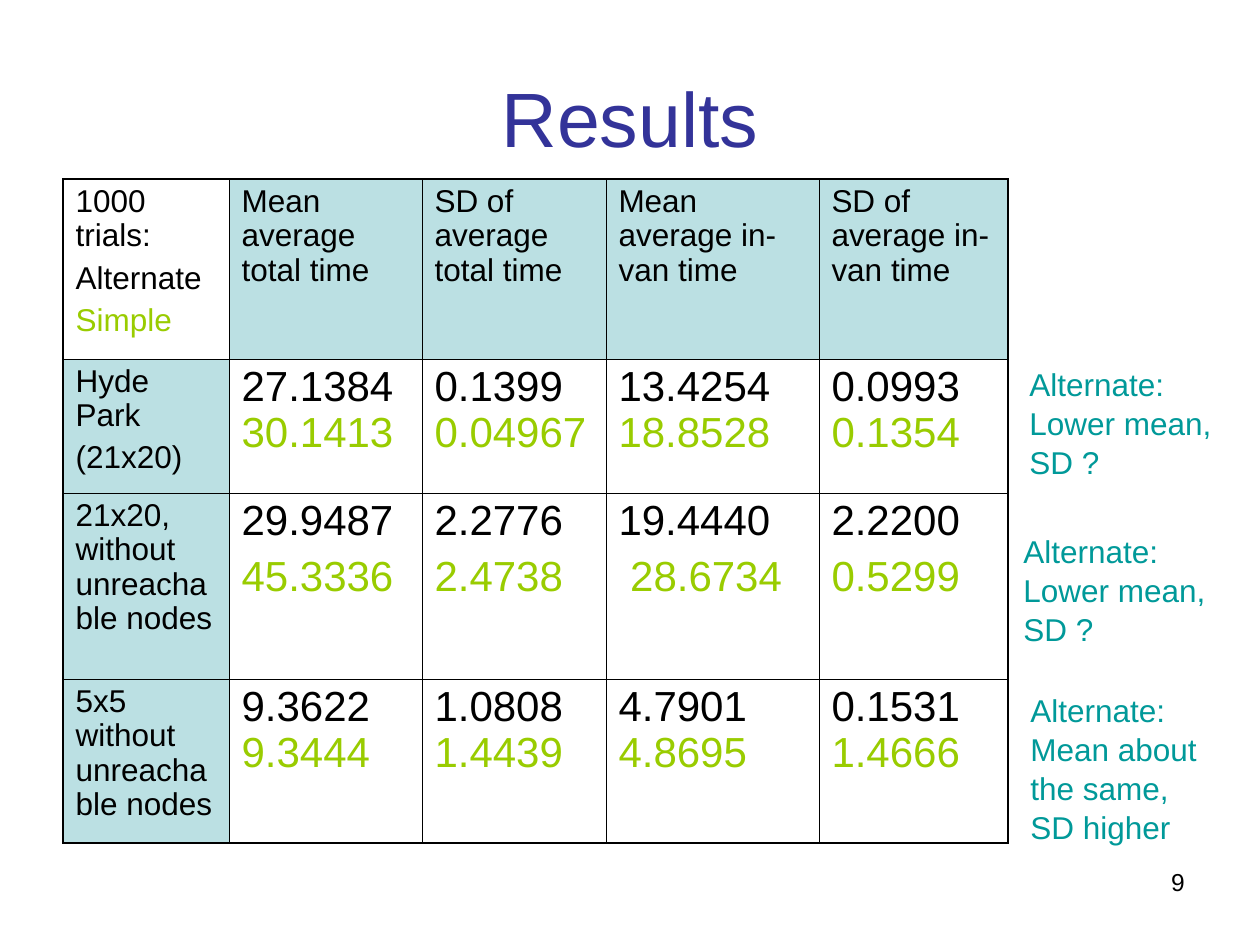
from lxml import etree
from pptx import Presentation
from pptx.dml.color import RGBColor
from pptx.enum import text
from pptx.oxml import ns
from pptx import util as u

THEME = {
    "font": "Arial", "black": "000000", "white": "FFFFFF", "title": "333399",
    "head": "BBE0E3", "simple": "99CC00", "note": "009999",
    "title_size": 44, "value_size": 24, "label_size": 18, "number_size": 14,
    "thin": 0.45, "thick": 1.08,
}


def px(n):
    return u.Emu(round(n * 914400 / 126))


def write(tf, paragraphs, size, before=0, spacing=None, align=text.PP_ALIGN.LEFT):
    for i, runs in enumerate(paragraphs):
        p = tf.paragraphs[0] if i == 0 else tf.add_paragraph()
        p.alignment = align
        p.space_before = u.Pt(before)
        p.line_spacing = spacing
        for words, color in runs:
            r = p.add_run()
            r.text = words
            r.font.name = THEME["font"]
            r.font.size = u.Pt(THEME[size])
            r.font.color.rgb = RGBColor.from_string(THEME[color])


prs = Presentation()
prs.slide_width, prs.slide_height = px(1260), px(945)
s = prs.slides.add_slide(prs.slide_layouts[5])

title = s.shapes.title
title.left, title.top, title.width, title.height = px(63), px(38), px(1134), px(157)
title.text_frame.vertical_anchor = text.MSO_ANCHOR.MIDDLE
write(title.text_frame, [[("Results", "title")]], "title_size", align=text.PP_ALIGN.CENTER)

headings = ["Mean average total time", "SD of average total time",
            "Mean average in-van time", "SD of average in-van time"]
results = [
    (["Hyde Park", "(21x20)"],
     [("27.1384 ", "30.1413"), ("0.1399 ", "0.04967"),
      ("13.4254 ", "18.8528"), ("0.0993 ", "0.1354")]),
    (["21x20, without unreachable nodes"],
     [("29.9487", "45.3336"), ("2.2776", "2.4738"),
      ("19.4440", " 28.6734"), ("2.2200", "0.5299")]),
    (["5x5 without unreachable nodes"],
     [("9.3622 ", "9.3444"), ("1.0808 ", "1.4439"),
      ("4.7901 ", "4.8695"), ("0.1531 ", "1.4666")]),
]
col_widths = [166, 193, 184, 213, 189]
row_heights = [180, 134, 186, 164]

table = s.shapes.add_table(len(row_heights), len(col_widths), px(63), px(179),
                           px(sum(col_widths)), px(sum(row_heights))).table
table.first_row = table.horz_banding = False
for col, width in zip(table.columns, col_widths):
    col.width = px(width)
for row, height in zip(table.rows, row_heights):
    row.height = px(height)

legend = [[("1000 trials:", "black")], [("Alternate", "black")], [("Simple", "simple")]]
write(table.cell(0, 0).text_frame, legend, "label_size", 4.5, 0.97)
for c, heading in enumerate(headings, 1):
    write(table.cell(0, c).text_frame, [[(heading, "black")]], "label_size", 4.5, 0.97)
for r, (labels, values) in enumerate(results, 1):
    write(table.cell(r, 0).text_frame, [[(label, "black")] for label in labels],
          "label_size", 4.5, 0.97)
    for c, (alternate, simple) in enumerate(values, 1):
        runs = [(alternate, "black"), (simple, "simple")]
        paragraphs = [[run] for run in runs] if r == 2 else [runs]
        write(table.cell(r, c).text_frame, paragraphs, "value_size", 6, 0.97)

last_row, last_col = len(row_heights) - 1, len(col_widths) - 1
for r in range(last_row + 1):
    for c in range(last_col + 1):
        cell = table.cell(r, c)
        cell.margin_left = cell.margin_right = u.Inches(0.1)
        cell.margin_top = cell.margin_bottom = u.Inches(0.05)
        is_head = (r == 0) != (c == 0)
        cell.fill.solid()
        cell.fill.fore_color.rgb = RGBColor.from_string(THEME["head" if is_head else "white"])
        outer = {"lnL": c == 0, "lnR": c == last_col, "lnT": r == 0, "lnB": r == last_row}
        tc_pr = cell._tc.get_or_add_tcPr()
        for i, (side, is_outer) in enumerate(outer.items()):
            ln = etree.Element(ns.qn(f"a:{side}"))
            ln.set("w", str(u.Pt(THEME["thick" if is_outer else "thin"])))
            fill = etree.SubElement(ln, ns.qn("a:solidFill"))
            etree.SubElement(fill, ns.qn("a:srgbClr")).set("val", THEME["black"])
            tc_pr.insert(i, ln)

notes = [
    (1017, 357, 207, 126, ["Alternate:", "Lower mean,", "SD ?"]),
    (1011, 524, 207, 126, ["Alternate:", "Lower mean,", "SD ?"]),
    (1018, 683, 200, 164, ["Alternate:", "Mean about", "the same,", "SD higher"]),
]
for left, top, width, height, lines in notes:
    tf = s.shapes.add_textbox(px(left), px(top), px(width), px(height)).text_frame
    tf.word_wrap = False
    tf.auto_size = text.MSO_AUTO_SIZE.SHAPE_TO_FIT_TEXT
    write(tf, [[(line, "note")] for line in lines], "label_size", spacing=1.04)

number = s.shapes.add_textbox(px(903), px(861), px(294), px(66)).text_frame
number.word_wrap = True
write(number, [[("9", "black")]], "number_size", align=text.PP_ALIGN.RIGHT)

prs.save("out.pptx")
